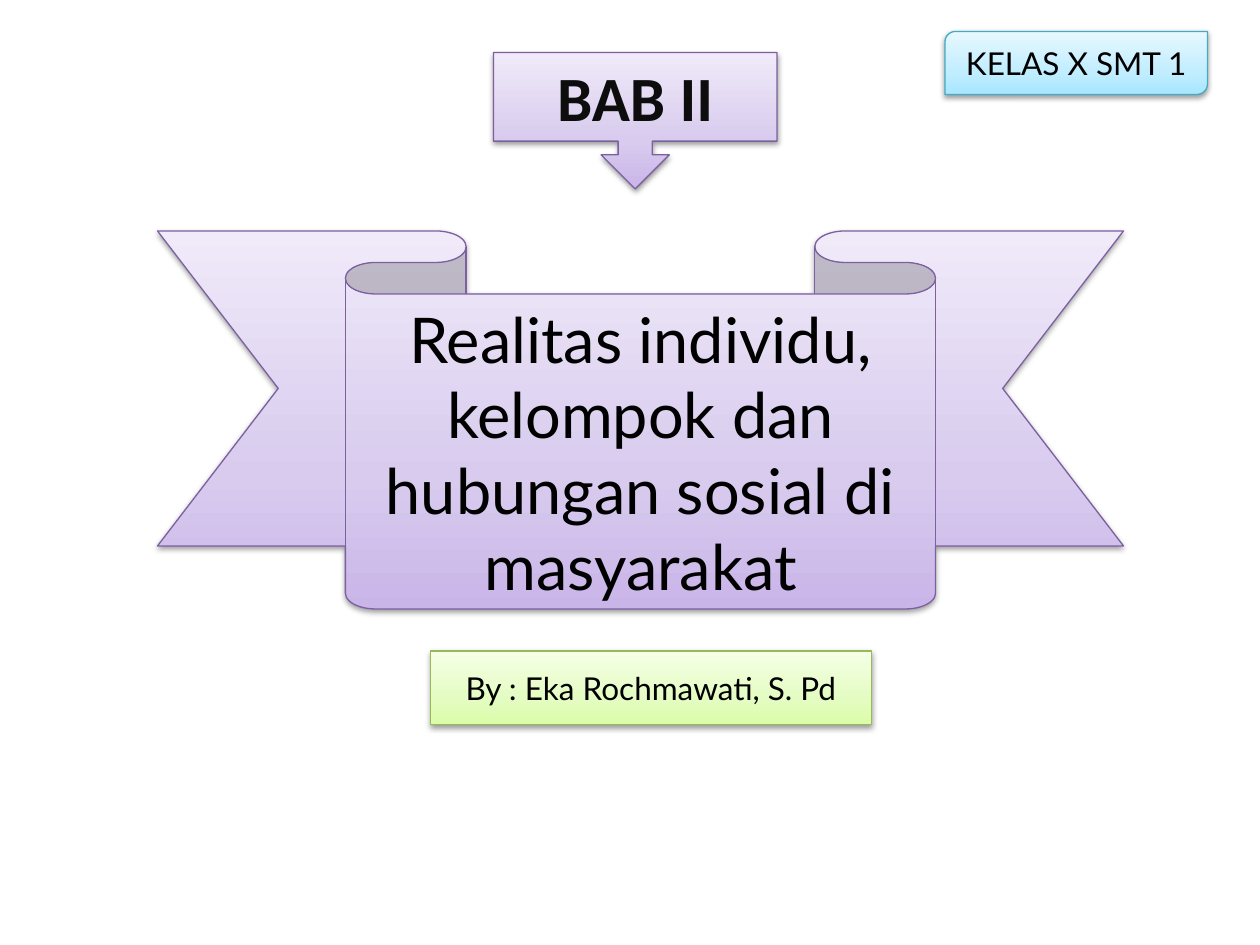
import copy

import lxml.etree
import pptx
import pptx.dml.color
import pptx.enum.shapes
import pptx.enum.text
import pptx.oxml.ns
import pptx.util

RGB = pptx.dml.color.RGBColor
SHAPE = pptx.enum.shapes.MSO_SHAPE
Pt = pptx.util.Pt
qn = pptx.oxml.ns.qn

BLACK = RGB(0x00, 0x00, 0x00)
NEAR_BLACK = RGB(0x0D, 0x0D, 0x0D)
PURPLE_LINE = RGB(0x7D, 0x60, 0xA0)
GREEN_LINE = RGB(0x98, 0xB9, 0x55)
BLUE_LINE = RGB(0x46, 0xAA, 0xC5)
# Gradients run from the bottom of a shape to its top
PURPLES = RGB(0xC9, 0xB5, 0xE8), RGB(0xD8, 0xCB, 0xEE), RGB(0xF0, 0xEA, 0xF9)
GREENS = RGB(0xDA, 0xFD, 0xA7), RGB(0xE4, 0xFC, 0xC2), RGB(0xF5, 0xFF, 0xE7)
BLUES = RGB(0xA7, 0xE6, 0xFF), RGB(0xC1, 0xED, 0xFF), RGB(0xE7, 0xF8, 0xFF)
STOP_POSITIONS = 0, 0.35, 1

prs = pptx.Presentation()
prs.slide_width = pptx.util.Inches(10)
prs.slide_height = pptx.util.Inches(7.5)
COLUMN = prs.slide_width // 120
ROW = prs.slide_height // 90
slide = prs.slides.add_slide(prs.slide_layouts[6])


def fill_gradient(shape, colours):
    shape.fill.gradient()
    shape.fill.gradient_angle = 90
    stop_list = shape._element.spPr.find(".//" + qn("a:gsLst"))
    stop_list.append(copy.deepcopy(stop_list[-1]))
    for stop, position, colour in zip(shape.fill.gradient_stops, STOP_POSITIONS, colours):
        stop.position = position
        stop.color.rgb = colour


def add_soft_shadow(shape):
    shape.shadow.inherit = False
    effects = shape._element.spPr.find(qn("a:effectLst"))
    shadow = lxml.etree.SubElement(effects, qn("a:outerShdw"), blurRad="40000",
                                   dist="20000", dir="5400000", rotWithShape="0")
    colour = lxml.etree.SubElement(shadow, qn("a:srgbClr"), val=str(BLACK))
    lxml.etree.SubElement(colour, qn("a:alpha"), val="38000")


# Preset, (column, row, columns, rows), gradient, line colour, text, font
panels = [
    (SHAPE.DOWN_RIBBON, (15, 22, 92, 36), PURPLES, PURPLE_LINE,
     "Realitas individu, kelompok dan hubungan sosial di masyarakat",
     {"name": "Lato", "size": Pt(36), "bold": False}, BLACK),
    (SHAPE.RECTANGLE, (41, 62, 42, 7), GREENS, GREEN_LINE,
     "By : Eka Rochmawati, S. Pd",
     {"name": "Lato", "size": Pt(18), "bold": False}, BLACK),
    (SHAPE.DOWN_ARROW_CALLOUT, (47, 5, 27, 13), PURPLES, PURPLE_LINE,
     "BAB II",
     {"name": "Calibri", "size": Pt(36), "bold": True}, NEAR_BLACK),
    (SHAPE.ROUND_2_DIAG_RECTANGLE, (90, 3, 25, 6), BLUES, BLUE_LINE,
     "KELAS X SMT 1",
     {"name": "Lato", "size": Pt(18), "bold": False}, BLACK),
]

for preset, (column, row, columns, rows), gradient, line_colour, words, font, ink in panels:
    panel = slide.shapes.add_shape(preset, column * COLUMN, row * ROW,
                                   columns * COLUMN, rows * ROW)
    if preset == SHAPE.DOWN_RIBBON:
        panel.adjustments[0] = 0.16667
        panel.adjustments[1] = 0.611
    fill_gradient(panel, gradient)
    panel.line.color.rgb = line_colour
    panel.line.width = Pt(0.75)
    add_soft_shadow(panel)

    panel.text_frame.word_wrap = True
    panel.text_frame.vertical_anchor = pptx.enum.text.MSO_ANCHOR.MIDDLE
    paragraph = panel.text_frame.paragraphs[0]
    paragraph.alignment = pptx.enum.text.PP_ALIGN.CENTER
    run = paragraph.add_run()
    run.text = words
    for attribute, value in font.items():
        setattr(run.font, attribute, value)
    run.font.color.rgb = ink

prs.save("out.pptx")
